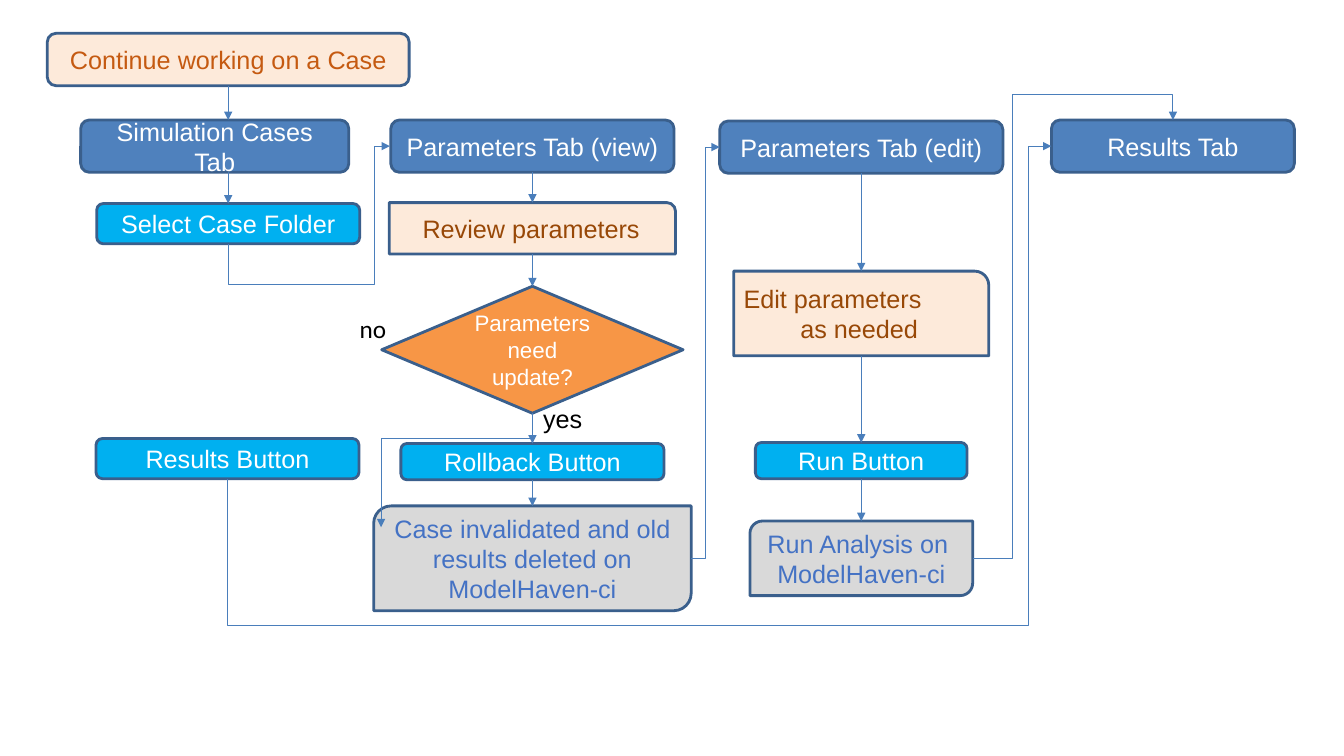
from lxml import etree
from pptx import Presentation
from pptx.dml.color import RGBColor
from pptx.enum import shapes, text
from pptx.oxml import ns
from pptx.util import Pt

WHITE = RGBColor(0xFF, 0xFF, 0xFF)
BLACK = RGBColor(0, 0, 0)
BLUE = RGBColor(0x4F, 0x81, 0xBD)
CYAN = RGBColor(0x00, 0xB0, 0xF0)
CREAM = RGBColor(0xFD, 0xEA, 0xDA)
GRAY = RGBColor(0xD9, 0xD9, 0xD9)
ORANGE = RGBColor(0xF7, 0x96, 0x46)
RUST = RGBColor(0xC5, 0x5A, 0x11)
BROWN = RGBColor(0x98, 0x48, 0x07)
ROYAL = RGBColor(0x44, 0x72, 0xC4)
OUTLINE = RGBColor(0x3A, 0x5F, 0x8C)
ARROW = RGBColor(0x4A, 0x7E, 0xBB)

PRESET = shapes.MSO_SHAPE
STYLES = {
    "start": (PRESET.ROUNDED_RECTANGLE, CREAM, RUST, 18),
    "tab": (PRESET.ROUNDED_RECTANGLE, BLUE, WHITE, 18),
    "button": (PRESET.ROUNDED_RECTANGLE, CYAN, WHITE, 18),
    "task": (PRESET.ROUND_1_RECTANGLE, CREAM, BROWN, 18),
    "decision": (PRESET.DIAMOND, ORANGE, WHITE, 16),
    "process": (PRESET.ROUND_2_DIAG_RECTANGLE, GRAY, ROYAL, 18),
}
CENTER = text.PP_ALIGN.CENTER
LEFT = text.PP_ALIGN.LEFT
TOP_SIDE, BOTTOM_SIDE = 0, 2
TAB_HEIGHT = 37.4


def write_lines(frame, lines, size, color, font="Arial"):
    for index, (line, alignment) in enumerate(lines):
        paragraph = frame.paragraphs[0] if index == 0 else frame.add_paragraph()
        paragraph.alignment = alignment
        run = paragraph.add_run()
        run.text = line
        run.font.name = font
        run.font.size = Pt(size)
        run.font.color.rgb = color


def add_step(slide, style, lines, center, top, width, height):
    preset, fill, color, size = STYLES[style]
    shape = slide.shapes.add_shape(
        preset, Pt(center - width / 2), Pt(top), Pt(width), Pt(height))
    shape.shadow.inherit = False
    shape.fill.solid()
    shape.fill.fore_color.rgb = fill
    shape.line.color.rgb = OUTLINE
    shape.line.width = Pt(2)
    frame = shape.text_frame
    frame.word_wrap = True
    frame.vertical_anchor = text.MSO_ANCHOR.MIDDLE
    if isinstance(lines, str):
        lines = [(lines, CENTER)]
    write_lines(frame, lines, size, color)
    return shape


def add_label(slide, words, left, top, font="Arial"):
    label = slide.shapes.add_textbox(Pt(left), Pt(top), Pt(44.6), Pt(28.8))
    label.text_frame.word_wrap = True
    write_lines(label.text_frame, [(words, LEFT)], 18, BLACK, font)


def style_arrow(line):
    line.color.rgb = ARROW
    line.width = Pt(0.75)
    head = etree.SubElement(line._get_or_add_ln(), ns.qn("a:tailEnd"))
    head.set("type", "triangle")


def add_arrow(slide, kind, start, end):
    connector = slide.shapes.add_connector(kind, *(Pt(n) for n in start + end))
    style_arrow(connector.line)
    etree.SubElement(connector._element.spPr, ns.qn("a:effectLst"))
    return connector


def add_down_arrow(slide, upper, lower, center):
    start = (center, (upper.top + upper.height).pt if hasattr(upper.top + upper.height, "pt")
             else (upper.top + upper.height) / Pt(1))
    end = (center, lower.top.pt)
    connector = add_arrow(slide, shapes.MSO_CONNECTOR.STRAIGHT, start, end)
    for shape, side, join in ((upper, BOTTOM_SIDE, connector.begin_connect),
                              (lower, TOP_SIDE, connector.end_connect)):
        centered = abs(shape.left + shape.width / 2 - Pt(center)) < Pt(1)
        if centered and shape.auto_shape_type != PRESET.ROUND_2_DIAG_RECTANGLE:
            join(shape, side)


def add_route(slide, points):
    start, *rest = [(Pt(x), Pt(y)) for x, y in points]
    builder = slide.shapes.build_freeform(*start)
    builder.add_line_segments(rest, close=False)
    route = builder.convert_to_shape()
    route.shadow.inherit = False
    route.fill.background()
    style_arrow(route.line)


def add_chain(slide, center, steps):
    for upper, lower in zip(steps, steps[1:]):
        add_down_arrow(slide, upper, lower, center)


def add_cases_column(slide, center, top):
    chain = [
        add_step(slide, "start", "Continue working on a Case", center, top, 258.5, TAB_HEIGHT),
        add_step(slide, "tab", "Simulation Cases Tab", center - 9.6, top + 61.9, 191.5, TAB_HEIGHT),
        add_step(slide, "button", "Select Case Folder", center, top + 121.6, 187.9, 28.8),
    ]
    add_step(slide, "button", "Results Button", center - 0.5, top + 289.4, 187.9, 28.8)
    add_chain(slide, center, chain)


def add_view_column(slide, center, top):
    add_chain(slide, center, [
        add_step(slide, "tab", "Parameters Tab (view)", center, top, 202.3, TAB_HEIGHT),
        add_step(slide, "task", "Review parameters", center, top + 59, 204.5, 36.7),
        add_step(slide, "decision", "Parameters need update?", center, top + 118.8, 215.3, 90.7),
        add_step(slide, "button", "Rollback Button", center, top + 231.1, 187.9, 25.9),
        add_step(slide, "process", "Case invalidated and old results deleted on ModelHaven-ci",
                 center, top + 275.7, 226.8, 74.9),
    ])
    add_label(slide, "no", center - 130.5, top + 134.6, "Calibri")
    add_label(slide, "yes", center + 0.6, top + 198.7)
    add_route(slide, [(center + 2, top + 227.5), (center - 108.1, top + 227.5),
                      (center - 108.1, top + 290.9)])


def add_edit_column(slide, center, top):
    add_chain(slide, center, [
        add_step(slide, "tab", "Parameters Tab (edit)", center, top, 202.3, TAB_HEIGHT),
        add_step(slide, "task", [("Edit parameters", LEFT), ("as needed", CENTER)],
                 center, top + 107.3, 182.2, 60.5),
        add_step(slide, "button", "Run Button", center, top + 229.7, 151.2, 25.9),
        add_step(slide, "process", [("Run Analysis on ", CENTER), ("ModelHaven-ci", CENTER)],
                 center, top + 285.8, 159.1, 53.3),
    ])


def add_column_links(slide):
    add_arrow(slide, shapes.MSO_CONNECTOR.ELBOW, (493.9, 398.9), (514.1, 105.1))
    add_route(slide, [(163, 174.2), (163, 203), (267.8, 203), (267.8, 104.4), (278.6, 104.4)])
    add_route(slide, [(694.8, 398.9), (722.9, 398.9), (722.9, 67.7), (837.8, 67.7), (837.8, 85.7)])
    add_route(slide, [(162.5, 342), (162.5, 447.1), (734.4, 447.1), (734.4, 104.4), (751, 104.4)])


def main():
    presentation = Presentation()
    presentation.slide_width = Pt(960)
    presentation.slide_height = Pt(540)
    slide = presentation.slides.add_slide(presentation.slide_layouts[6])
    add_cases_column(slide, 163, 23.8)
    add_view_column(slide, 380.3, 85.7)
    add_edit_column(slide, 615.2, 86.4)
    add_step(slide, "tab", "Results Tab", 837.8, 85.7, 173.5, TAB_HEIGHT)
    add_column_links(slide)
    presentation.save("out.pptx")


if __name__ == "__main__":
    main()
